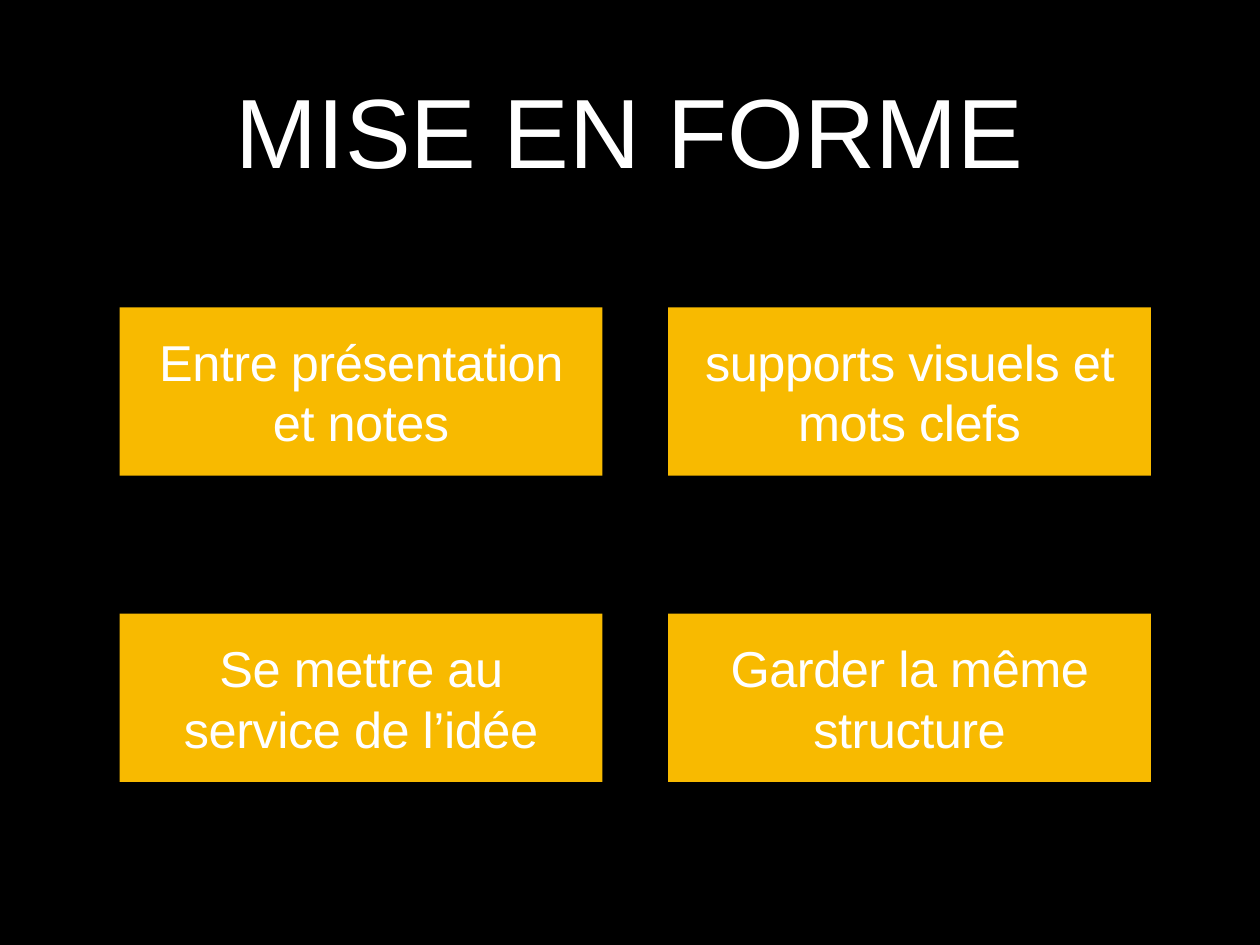
from pptx import Presentation
from pptx.dml.color import RGBColor
from pptx.enum.shapes import MSO_SHAPE
from pptx.enum.text import MSO_ANCHOR, PP_ALIGN
from pptx.util import Inches, Pt

BLACK = RGBColor(0x00, 0x00, 0x00)
WHITE = RGBColor(0xFF, 0xFF, 0xFF)
YELLOW = RGBColor(0xF8, 0xBA, 0x00)


class SlideBuilder:
    """Holds the text style and the current slide."""

    font_name = "Arial"
    text_color = WHITE

    def __init__(self, slide):
        self.slide = slide

    def background(self, color):
        fill = self.slide.background.fill
        fill.solid()
        fill.fore_color.rgb = color

    def set_text(self, shape, text, size, inset, tracking=0):
        frame = shape.text_frame
        frame.text = text
        frame.word_wrap = True
        frame.vertical_anchor = MSO_ANCHOR.MIDDLE
        frame.margin_left = frame.margin_right = Inches(inset)
        frame.margin_top = frame.margin_bottom = Inches(inset)
        para = frame.paragraphs[0]
        para.alignment = PP_ALIGN.CENTER
        span = para.runs[0]
        span.font.name = self.font_name
        span.font.size = Pt(size)
        span.font.color.rgb = self.text_color
        if tracking:
            # Letter spacing is stored in hundredths of a point
            span.font._element.set("spc", str(round(tracking * 100)))

    def title(self, text, left, top, width, height):
        title = self.slide.shapes.title
        title.left, title.top = Inches(left), Inches(top)
        title.width, title.height = Inches(width), Inches(height)
        self.set_text(title, text, size=80, inset=0.06)

    def box(self, text, left, top, width, height):
        box = self.slide.shapes.add_shape(
            MSO_SHAPE.RECTANGLE,
            Inches(left), Inches(top), Inches(width), Inches(height))
        box.shadow.inherit = False
        box.fill.solid()
        box.fill.fore_color.rgb = YELLOW
        box.line.fill.background()
        self.set_text(box, text, size=41, inset=0.26, tracking=-0.4)


def main():
    deck = Presentation()
    deck.slide_width, deck.slide_height = Inches(14.22), Inches(10.67)
    page = SlideBuilder(deck.slides.add_slide(deck.slide_layouts[5]))
    page.background(BLACK)

    # Title
    page.title("MISE EN FORME", 1.04, 0.28, 12.14, 2.36)

    # Two-by-two grid of advice
    advice = [
        "Entre présentation et notes",
        "supports visuels et mots clefs",
        "Se mettre au service de l’idée",
        "Garder la même structure",
    ]
    for index, text in enumerate(advice):
        row, column = divmod(index, 2)
        page.box(text, 1.35 + column * 6.19, 3.47 + row * 3.46, 5.45, 1.9)

    deck.save("out.pptx")


if __name__ == "__main__":
    main()
